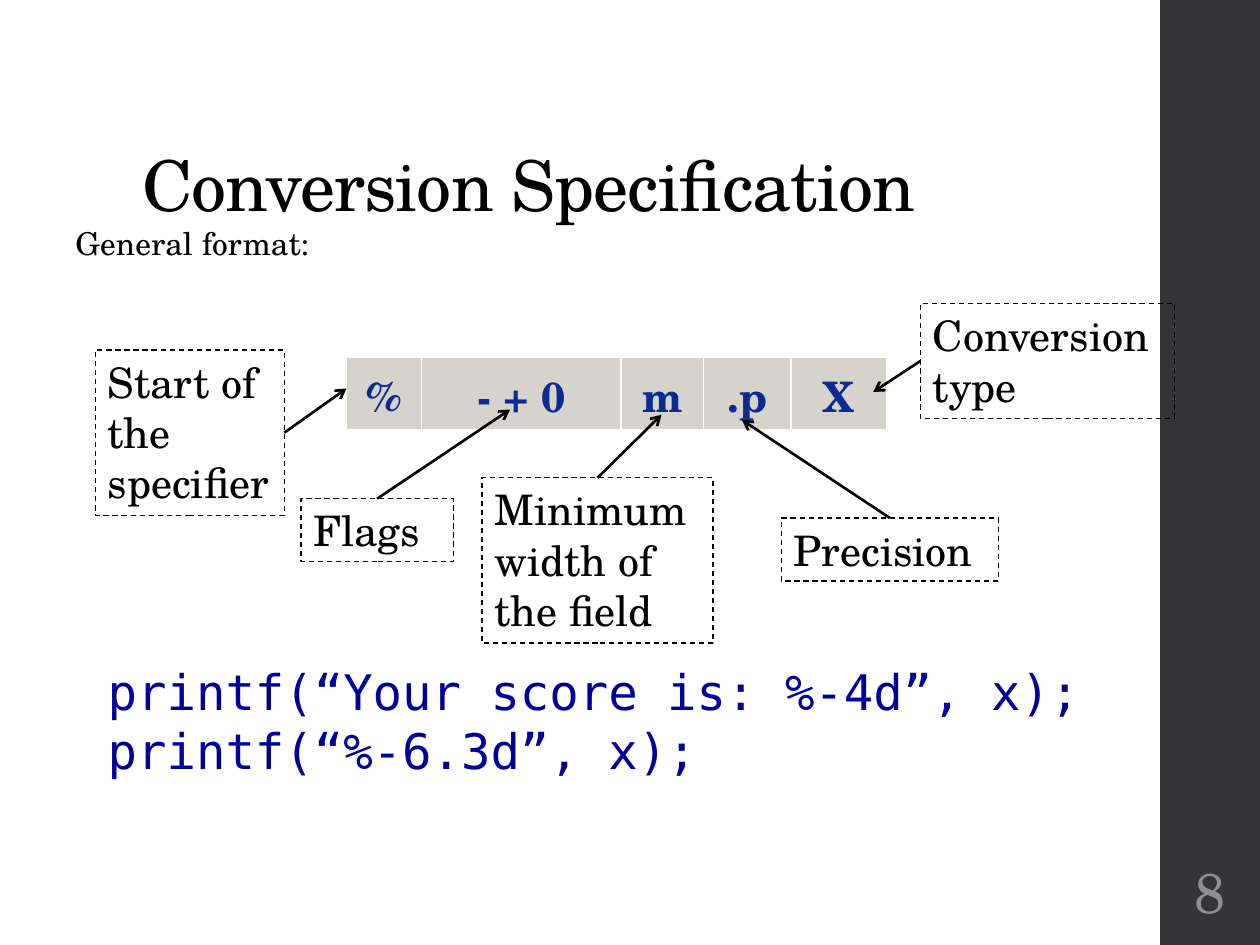
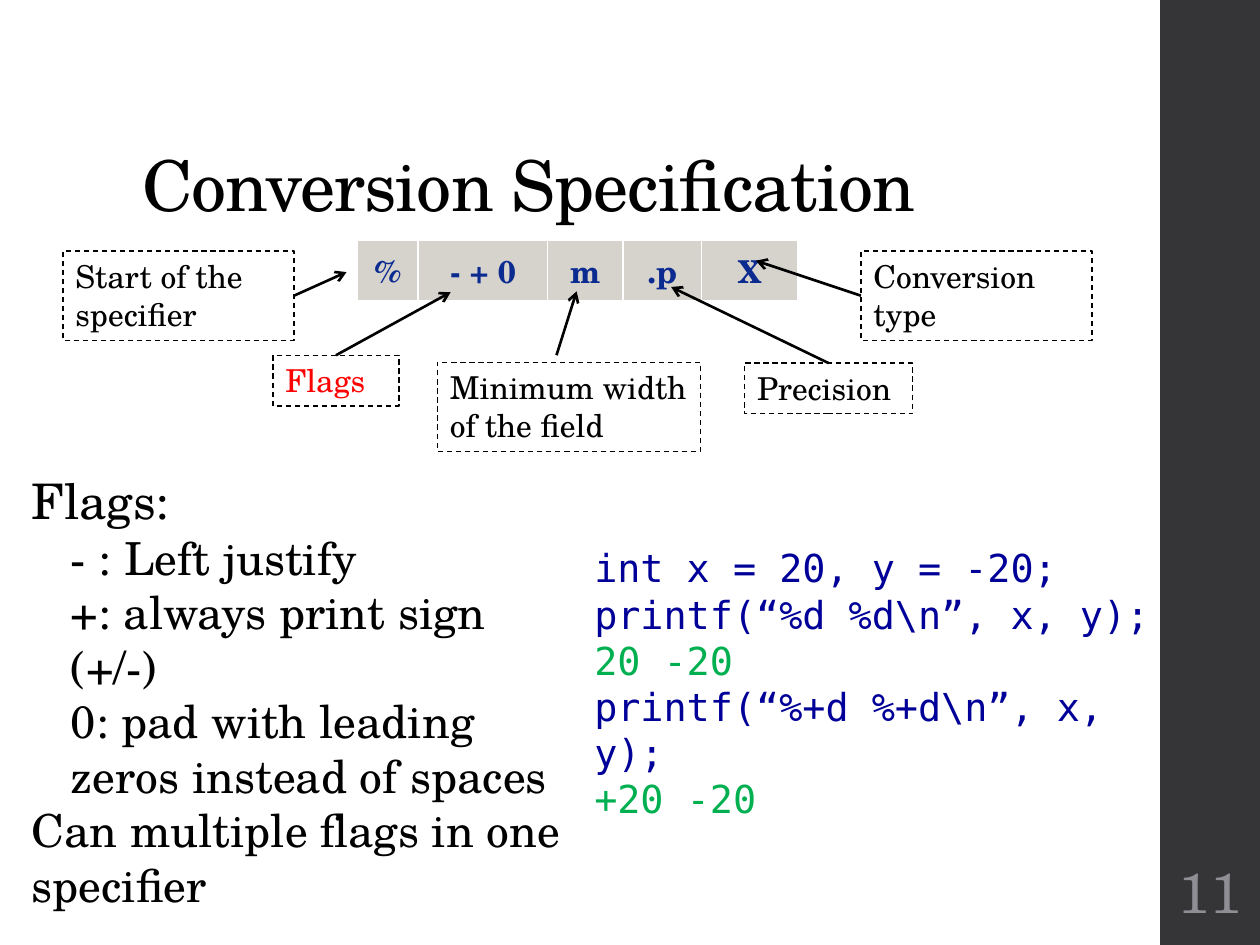
from dataclasses import dataclass

from lxml import etree
from pptx import Presentation
from pptx.dml import color as dml
from pptx.enum import dml as line_styles
from pptx.enum import shapes, text
from pptx.oxml import ns
from pptx.util import Pt

COLORS = {
    "black": "000000", "white": "FFFFFF", "band": "353537", "number": "8E8E94",
    "cell": "D6D3CC", "field": "0B2B91", "code": "000099", "output": "00B050",
    "highlight": "FF0000",
}
SERIF, MONO = "TeX Gyre Schola", "DejaVu Sans Mono"
TITLE = "Conversion Specification"
FIELDS = ["%", "- + 0", "m", ".p", "X"]
TOP, LEFT, RIGHT = 0, 1, 3
CALLOUTS = [
    ("Start of the specifier", RIGHT), ("Flags", TOP),
    ("Minimum width of the field", TOP), ("Precision", TOP), ("Conversion type", LEFT),
]
GROW = {"word_wrap": True, "auto_size": text.MSO_AUTO_SIZE.SHAPE_TO_FIT_TEXT,
        "vertical_anchor": text.MSO_ANCHOR.TOP}
FIXED = {"word_wrap": True, "auto_size": text.MSO_AUTO_SIZE.NONE}


@dataclass
class Diagram:
    """Measures of one specifier diagram, relative to its corner."""
    corner: tuple
    size: int
    table: tuple
    row_height: float
    columns: list
    boxes: list
    tips: list
    free_starts: dict
    highlighted: str = ""


WIDE = Diagram(
    corner=(54.5, 173.5), size=24, table=(143.5, 30.5), row_height=42.5,
    columns=[43, 114, 47, 50, 55],
    boxes=[(0, 26.5, 108, 94.5), (117.5, 111.5, 87, 36), (221, 99.5, 132, 94.5),
           (392, 122.5, 124, 36), (471.5, 0, 145, 65.5)],
    tips=[(143.5, 48.5), (237, 60.5), (323.5, 63.5), (369.5, 66.5), (444.5, 50.5)],
    free_starts={})
COMPACT = Diagram(
    corner=(36, 137.5), size=18, table=(168, 0), row_height=33.5,
    columns=[35, 74, 43, 45, 55],
    boxes=[(0, 6, 132, 51), (120, 65.5, 72, 29), (214, 69.5, 150.5, 51),
           (389.5, 70, 96, 29), (456, 6, 132, 51)],
    tips=[(162, 18), (221.5, 29.5), (293.5, 29), (347.5, 26.5), (396, 11.5)],
    free_starts={"Minimum width of the field": (282, 65.5)}, highlighted="Flags")


def rgb(name):
    """Return the named colour."""
    return dml.RGBColor.from_string(COLORS[name])


def apply(target, values):
    """Set every attribute in values on target."""
    for name, value in values.items():
        setattr(target, name, value)


def points(*lengths):
    """Turn numbers into lengths in points."""
    return [Pt(length) for length in lengths]


def write(paragraph, words, size, color="black", font=SERIF, bold=False, tracking=0,
          align=text.PP_ALIGN.LEFT, indent=0, line_spacing=1.0):
    """Fill one paragraph with a single formatted run."""
    if indent:
        paragraph._p.get_or_add_pPr().set("marL", str(Pt(indent)))
    apply(paragraph, {"alignment": align, "line_spacing": line_spacing,
                      "space_before": Pt(0), "space_after": Pt(0)})
    run = paragraph.add_run()
    run.text = words
    apply(run.font, {"name": font, "size": Pt(size), "bold": bold})
    run.font.color.rgb = rgb(color)
    if tracking:
        run._r.get_or_add_rPr().set("spc", str(tracking))


def add_text(slide, box, lines, frame_format=GROW):
    """Add a text box holding one paragraph for each dict of line values."""
    frame = slide.shapes.add_textbox(*points(*box)).text_frame
    apply(frame, frame_format)
    for index, line in enumerate(lines):
        write(frame.paragraphs[0] if index == 0 else frame.add_paragraph(), **line)


def add_rectangle(slide, box):
    """Add a rectangle without a shadow."""
    rectangle = slide.shapes.add_shape(shapes.MSO_SHAPE.RECTANGLE, *points(*box))
    rectangle.shadow.inherit = False
    return rectangle


def add_base(presentation, number):
    """Add a slide with its side band, title and number."""
    slide = presentation.slides.add_slide(presentation.slide_layouts[5])
    band = add_rectangle(slide, (663, 0, 57, 540))
    band.fill.solid()
    band.fill.fore_color.rgb = rgb("band")
    band.line.fill.background()
    title = slide.shapes.title
    apply(title, dict(zip(("left", "top", "width", "height"), points(74, 29, 572.5, 104))))
    apply(title.text_frame, FIXED | {"vertical_anchor": text.MSO_ANCHOR.BOTTOM})
    write(title.text_frame.paragraphs[0], TITLE, 40, tracking=-50, line_spacing=0.9)
    add_text(slide, (664.5, 486, 54, 47),
             [dict(words=str(number), size=32, color="number", align=text.PP_ALIGN.CENTER)],
             FIXED | {"vertical_anchor": text.MSO_ANCHOR.MIDDLE,
                      "margin_left": Pt(2), "margin_right": Pt(2)})
    return slide


def add_border(cell, side, width):
    """Draw one white border of a table cell."""
    line = etree.SubElement(cell._tc.get_or_add_tcPr(), ns.qn(f"a:ln{side}"), w=str(Pt(width)))
    fill = etree.SubElement(line, ns.qn("a:solidFill"))
    etree.SubElement(fill, ns.qn("a:srgbClr"), val=COLORS["white"])


def add_fields(slide, left, top, diagram):
    """Add the one-row table of specifier fields."""
    table = slide.shapes.add_table(
        1, len(FIELDS), *points(left, top, sum(diagram.columns), diagram.row_height)).table
    table.rows[0].height = Pt(diagram.row_height)
    for column, width, cell, words in zip(table.columns, diagram.columns,
                                          table.rows[0].cells, FIELDS):
        column.width = Pt(width)
        for side, weight in {"L": 1, "R": 1, "T": 1, "B": 3}.items():
            add_border(cell, side, weight)
        cell.fill.solid()
        cell.fill.fore_color.rgb = rgb("cell")
        cell.vertical_anchor = text.MSO_ANCHOR.MIDDLE
        write(cell.text_frame.paragraphs[0], words, diagram.size, "field", bold=True,
              align=text.PP_ALIGN.CENTER)


def add_callout(slide, box, words, size, color):
    """Add a dashed label box."""
    callout = add_rectangle(slide, box)
    callout.fill.background()
    apply(callout.line, {"width": Pt(0.75), "dash_style": line_styles.MSO_LINE.DASH})
    callout.line.color.rgb = rgb("black")
    apply(callout.text_frame, GROW)
    write(callout.text_frame.paragraphs[0], words, size, color)
    return callout


def add_arrow(slide, start, tip):
    """Add a black arrow from start to tip."""
    arrow = slide.shapes.add_connector(shapes.MSO_CONNECTOR.STRAIGHT, *points(*start, *tip))
    arrow.line.width = Pt(1.5)
    arrow.line.color.rgb = rgb("black")
    etree.SubElement(arrow.line._get_or_add_ln(), ns.qn("a:tailEnd"), type="arrow")
    etree.SubElement(arrow._element.spPr, ns.qn("a:effectLst"))
    return arrow


def add_diagram(slide, diagram):
    """Add the field table with its callouts and arrows."""
    left, top = diagram.corner
    add_fields(slide, left + diagram.table[0], top + diagram.table[1], diagram)
    for (words, side), (x, y, width, height), tip in zip(CALLOUTS, diagram.boxes, diagram.tips):
        color = "highlight" if words == diagram.highlighted else "black"
        callout = add_callout(slide, (left + x, top + y, width, height), words,
                              diagram.size, color)
        start = diagram.free_starts.get(words, (x, y))
        arrow = add_arrow(slide, (left + start[0], top + start[1]),
                          (left + tip[0], top + tip[1]))
        if words not in diagram.free_starts:
            arrow.begin_connect(callout, side)


def add_code(slide, box, size, lines):
    """Add monospaced lines, each given with its colour."""
    add_text(slide, box, [dict(words=words, size=size, color=color, font=MONO)
                          for words, color in lines])


def add_format_slide(presentation):
    """Add the slide on the general format."""
    slide = add_base(presentation, 8)
    add_text(slide, (36, 126, 600, 30),
             [dict(words="General format:", size=18, tracking=10, line_spacing=0.95)])
    add_diagram(slide, WIDE)
    add_code(slide, (54.5, 374.5, 575.5, 75), 28, [
        ("printf(“Your score is: %-4d”, x);", "code"),
        ("printf(“%-6.3d”, x);", "code")])


def add_flags_slide(presentation):
    """Add the slide on flags."""
    slide = add_base(presentation, 11)
    add_diagram(slide, COMPACT)
    add_code(slide, (332.5, 307.5, 337, 140.5), 22, [
        ("int x = 20, y = -20;", "code"),
        ("printf(“%d %d\\n”, x, y);", "code"),
        ("20 -20", "output"),
        ("printf(“%+d %+d\\n”, x, y);", "code"),
        ("+20 -20", "output")])
    flags = ["- : Left justify", "+: always print sign (+/-)",
             "0: pad with leading zeros instead of spaces"]
    add_text(slide, (11, 265.5, 319, 262),
             [dict(words="Flags:", size=28)]
             + [dict(words=flag, size=26, indent=22.5) for flag in flags]
             + [dict(words="Can multiple flags in one specifier", size=26)])


def main():
    """Build and save the presentation."""
    presentation = Presentation()
    apply(presentation, {"slide_width": Pt(720), "slide_height": Pt(540)})
    add_format_slide(presentation)
    add_flags_slide(presentation)
    presentation.save("out.pptx")


if __name__ == "__main__":
    main()
